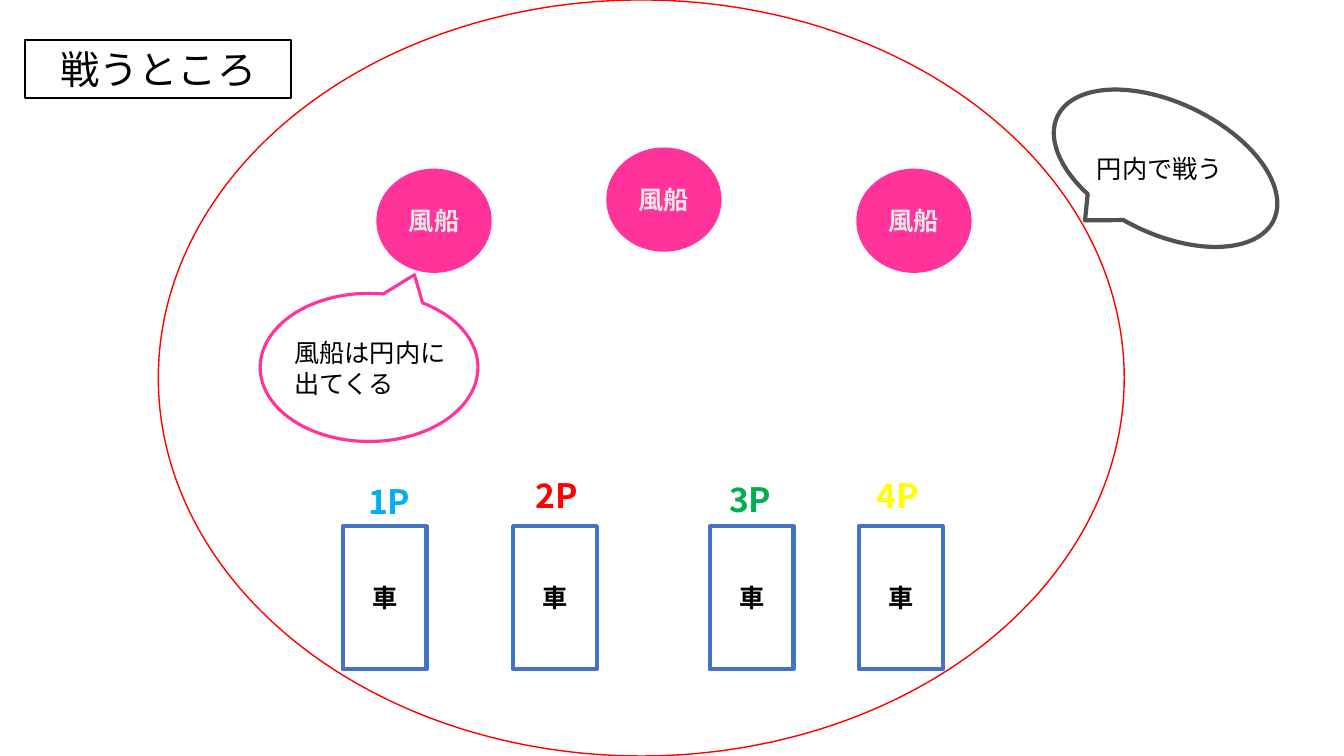
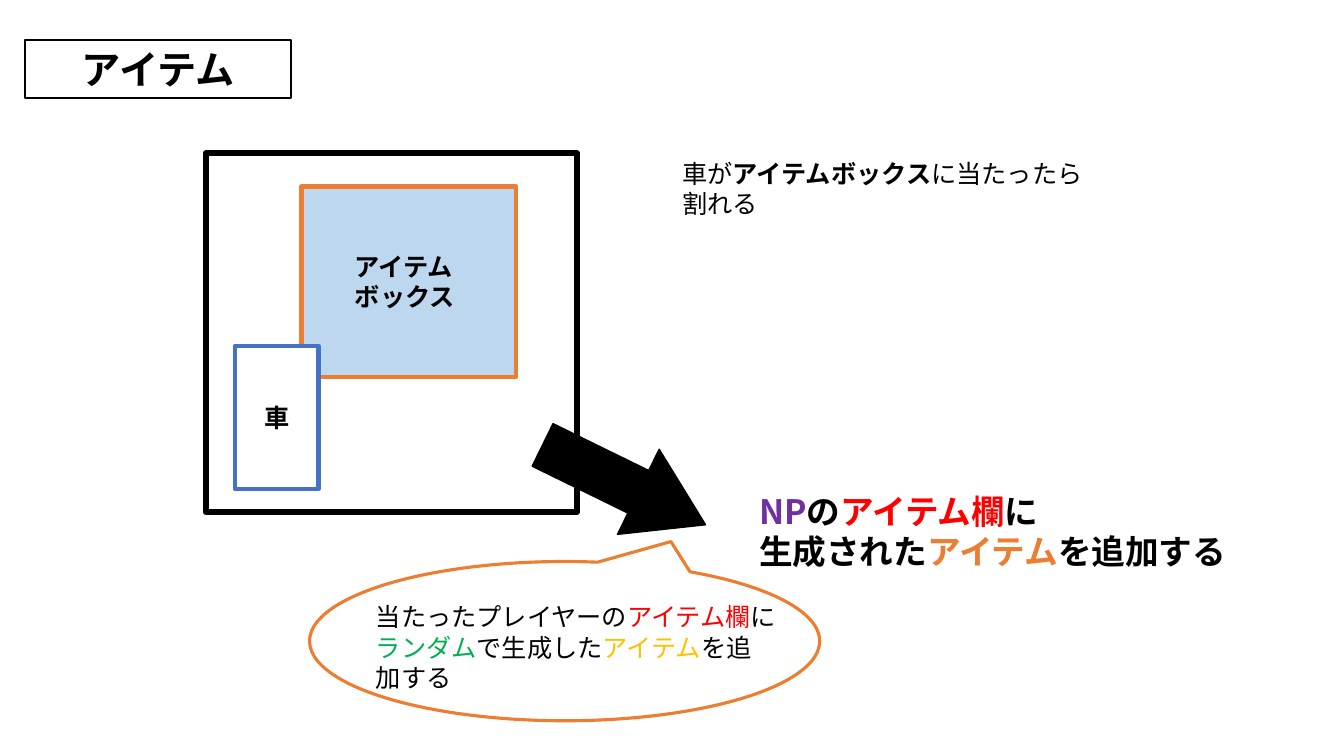
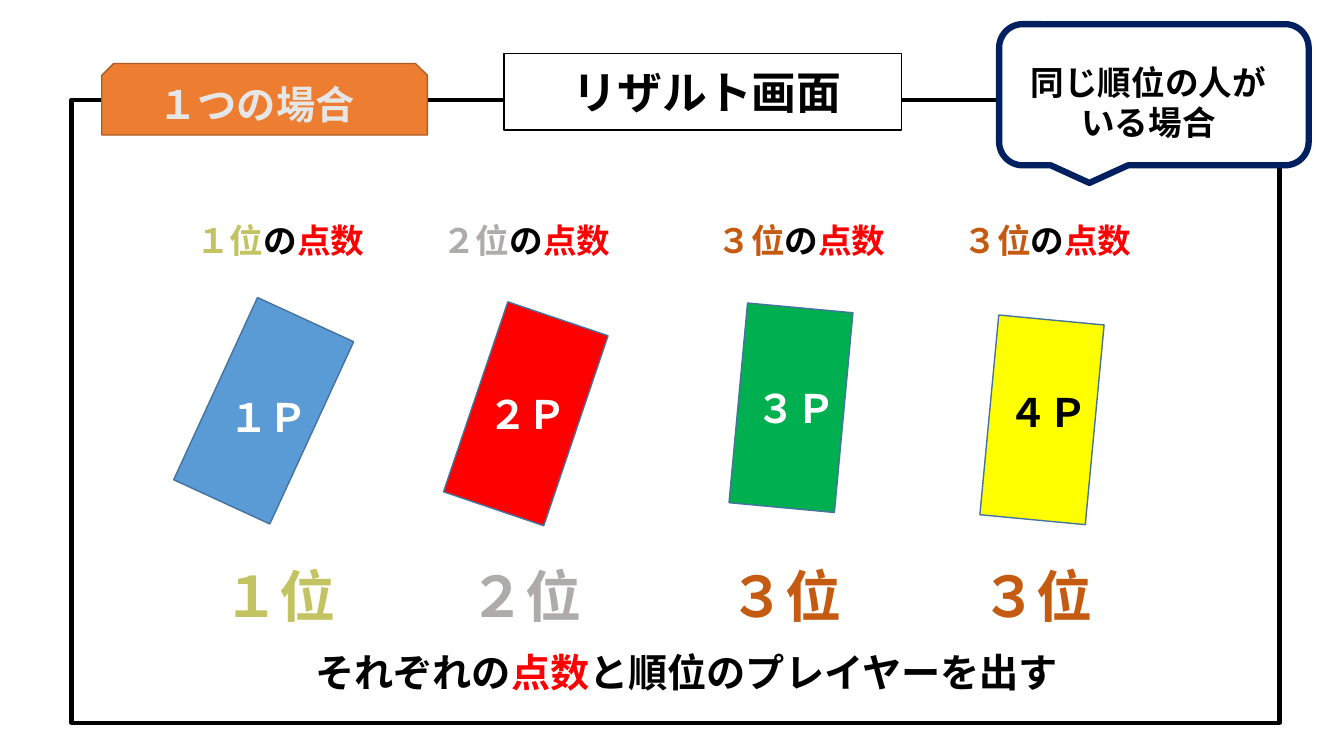
from lxml import etree
from pptx import Presentation
from pptx.dml.color import RGBColor
from pptx.enum.shapes import MSO_SHAPE
from pptx.enum.text import MSO_ANCHOR, MSO_AUTO_SIZE, PP_ALIGN
from pptx.oxml.ns import qn
from pptx.util import Inches, Pt

RECT = MSO_SHAPE.RECTANGLE
OVAL = MSO_SHAPE.OVAL
CLOUD = MSO_SHAPE.OVAL_CALLOUT
BUBBLE = MSO_SHAPE.ROUNDED_RECTANGULAR_CALLOUT
PROCESS = MSO_SHAPE.FLOWCHART_PROCESS
ARROW = MSO_SHAPE.RIGHT_ARROW
TAB = MSO_SHAPE.SNIP_2_SAME_RECTANGLE
LEFT, MID = PP_ALIGN.LEFT, PP_ALIGN.CENTER
CENTRE = MSO_ANCHOR.MIDDLE
GROW, FIXED = MSO_AUTO_SIZE.SHAPE_TO_FIT_TEXT, MSO_AUTO_SIZE.NONE

BLACK = RGBColor(0x00, 0x00, 0x00)
WHITE = RGBColor(0xFF, 0xFF, 0xFF)
RED = RGBColor(0xFF, 0x00, 0x00)
PINK = RGBColor(0xFF, 0x33, 0x99)
PALE = RGBColor(0xE7, 0xE6, 0xE6)
BLUE = RGBColor(0x44, 0x72, 0xC4)
SKY = RGBColor(0x00, 0xB0, 0xF0)
GREEN = RGBColor(0x00, 0xB0, 0x50)
YELLOW = RGBColor(0xFF, 0xFF, 0x00)
SLATE = RGBColor(0x52, 0x52, 0x52)
ICE = RGBColor(0xBD, 0xD7, 0xEE)
ORANGE = RGBColor(0xED, 0x7D, 0x31)
RUST = RGBColor(0xAF, 0x5C, 0x24)
PURPLE = RGBColor(0x70, 0x30, 0xA0)
AMBER = RGBColor(0xFF, 0xC0, 0x00)
GOLD = RGBColor(0xC3, 0xC3, 0x61)
SILVER = RGBColor(0xAF, 0xAB, 0xAB)
BRONZE = RGBColor(0xC5, 0x5A, 0x11)
GREY = RGBColor(0x80, 0x80, 0x80)
MIST = RGBColor(0xD6, 0xDC, 0xE5)
AZURE = RGBColor(0x5B, 0x9B, 0xD5)
STEEL = RGBColor(0x43, 0x73, 0x9E)
NAVY = RGBColor(0x00, 0x20, 0x60)

FONT = "Noto Sans CJK JP"
HEAD_BOX = (0.25, 0.4, 2.64, 0.57)
TIGHT = {"margin_left": 0, "margin_right": 0, "margin_top": 0, "margin_bottom": 0}


def assign(item, values):
    for key, value in values.items():
        setattr(item, key, value)


def place(shape, box):
    names = ("left", "top", "width", "height")
    assign(shape, dict(zip(names, map(Inches, box))))


def outline(run, color):
    props = run.font._element
    line = etree.Element(qn("a:ln"), w=str(Pt(0.75)))
    fill = etree.SubElement(line, qn("a:solidFill"))
    etree.SubElement(fill, qn("a:srgbClr"), val=str(color))
    props.insert(0, line)


def write(frame, lines, size=18, bold=True, align=MID):
    for num, parts in enumerate(lines):
        para = frame.add_paragraph() if num else frame.paragraphs[0]
        assign(para, {"alignment": align, "line_spacing": 1.0})
        for words, color, *extra in parts:
            style = extra[0] if extra else {}
            run = para.add_run()
            run.text = words
            assign(run.font, {"name": FONT, "size": Pt(size),
                              "bold": style.get("bold", bold)})
            run.font.color.rgb = color
            latin = run.font._element.find(qn("a:latin"))
            latin.addnext(etree.Element(qn("a:ea"), typeface=FONT))
            if "edge" in style:
                outline(run, style["edge"])


def paint(shape, fill, line, width):
    if fill is None:
        shape.fill.background()
    else:
        shape.fill.solid()
        shape.fill.fore_color.rgb = fill
    shape.line.color.rgb = line
    shape.line.width = Pt(width)


def draw(slide, kind, box, fill, line, width=1, turn=0):
    shape = slide.shapes.add_shape(kind, *map(Inches, box))
    shape.shadow.inherit = False
    shape.rotation = turn
    paint(shape, fill, line, width)
    return shape


def label(slide, box, lines, **style):
    frame = slide.shapes.add_textbox(*map(Inches, box)).text_frame
    assign(frame, {"word_wrap": True, "auto_size": GROW})
    write(frame, lines, **style)


def inner(shape, words, color, align=MID, **room):
    frame = shape.text_frame
    assign(frame, {**TIGHT, "word_wrap": True, "vertical_anchor": CENTRE, **room})
    write(frame, [[(words, color)]], align=align)


def head(slide, words, box=HEAD_BOX, width=1.5, inset=0.1, **style):
    title = slide.shapes.title
    place(title, box)
    paint(title, WHITE, BLACK, width)
    assign(title.text_frame, {"word_wrap": True, "auto_size": FIXED,
                              "vertical_anchor": CENTRE,
                              "margin_left": Inches(inset)})
    write(title.text_frame, [[(words, BLACK)]], **style)
    title.element.getparent().append(title.element)


def balloon(slide, left, top):
    shape = draw(slide, OVAL, (left, top, 1.13, 1.02), PINK, PINK)
    inner(shape, "風船", PALE)


def car(slide, left, top):
    shape = draw(slide, RECT, (left, top, 0.83, 1.42), WHITE, BLUE, 3)
    inner(shape, "車", BLACK)


def arena(slide):
    draw(slide, OVAL, (1.57, 0, 9.58, 7.5), None, RED)
    for left, top in ((3.74, 1.68), (6.02, 1.47), (8.5, 1.68)):
        balloon(slide, left, top)
    players = ((3.4, 3.42, 4.72, SKY), (5.09, 5.08, 4.66, RED),
               (7.04, 7, 4.7, GREEN), (8.52, 8.46, 4.66, YELLOW))
    for num, (left, tag, top, color) in enumerate(players, 1):
        car(slide, left, 5.22)
        label(slide, (tag, top, 0.88, 0.5),
              [[(f"{num}P", color, {"edge": BLACK})]], size=24)
    head(slide, "戦うところ", size=28, bold=False)
    draw(slide, CLOUD, (10.37, 1.02, 2.38, 1.3), None, SLATE, 3, 25.7)
    label(slide, (10.78, 1.47, 1.51, 0.4), [[("円内で戦う", BLACK)]],
          bold=False, align=LEFT)
    draw(slide, CLOUD, (2.58, 2.91, 2.16, 1.47), None, PINK, 2.25, 180)
    label(slide, (2.82, 3.3, 1.84, 0.71), [[("風船は円内に出てくる", BLACK)]],
          bold=False, align=LEFT)


def items(slide):
    head(slide, "アイテム", size=28)
    box = draw(slide, RECT, (2.99, 1.85, 2.13, 1.89), ICE, ORANGE, 3)
    inner(box, "アイテムボックス", BLACK, LEFT,
          margin_left=Inches(0.53), margin_right=Inches(0.53))
    draw(slide, PROCESS, (2.04, 1.52, 3.68, 3.56), None, BLACK, 4.5)
    car(slide, 2.33, 3.43)
    label(slide, (6.67, 1.52, 4.25, 0.71),
          [[("車が", BLACK), ("アイテムボックス", BLACK, {"bold": True}),
            ("に当たったら割れる", BLACK)]], bold=False, align=LEFT)
    arrow = draw(slide, ARROW, (5.29, 4.34, 1.8, 0.94), BLACK, BLACK, 1, 26.1)
    arrow.adjustments[1] = 0.79
    edge = {"edge": BLACK}
    label(slide, (7.43, 4.82, 4.99, 0.91),
          [[("NP", PURPLE, edge), ("の", BLACK, edge),
            ("アイテム欄", RED, edge), ("に", BLACK, edge)],
           [("生成された", BLACK, edge), ("アイテム", ORANGE, edge),
            ("を追加する", BLACK, edge)]], size=24, align=LEFT)
    draw(slide, CLOUD, (3.07, 5.57, 5.06, 1.58), None, ORANGE, 2.25, 180)
    label(slide, (3.63, 5.92, 4.17, 1.01),
          [[("当たったプレイヤーの", BLACK), ("アイテム欄", RED), ("に", BLACK),
            ("ランダム", GREEN), ("で生成した", BLACK), ("アイテム", AMBER),
            ("を追加する", BLACK)]], bold=False, align=LEFT)


def results(slide):
    draw(slide, RECT, (0.71, 0.99, 11.98, 6.18), None, BLACK, 3)
    draw(slide, TAB, (1.01, 0.63, 3.23, 0.71), ORANGE, RUST)
    label(slide, (1.11, 0.75, 2.87, 0.57), [[("１つの場合", PALE)]], size=28)
    head(slide, "リザルト画面", (5, 0.53, 3.94, 0.76), 1, 0.68,
         size=32, align=LEFT)
    first = ("１位", GOLD, {"edge": WHITE})
    second = ("２位", SILVER, {"edge": GREY})
    third = ("３位", BRONZE, {"edge": MIST})
    players = (
        ("１Ｐ", first, 1.79, 1.8, (2.09, 3.08), 24.7, AZURE, (2.14, 3.85), WHITE),
        ("２Ｐ", second, 4.23, 4.24, (4.69, 3.11), 18.7, RED, (4.71, 3.82), WHITE),
        ("３Ｐ", third, 6.81, 6.97, (7.32, 3.05), 5.3, GREEN, (7.37, 3.76), WHITE),
        ("４Ｐ", third, 9.3, 9.41, (9.81, 3.17), 5.4, YELLOW, (9.87, 3.8), BLACK),
    )
    for name, rank, left, score, card, turn, fill, tag, ink in players:
        label(slide, (left, 5.52, 1.97, 0.77), [[rank]], size=40)
        label(slide, (score, 2.13, 1.96, 0.5),
              [[rank, ("の", BLACK), ("点数", RED)]], size=24)
        draw(slide, RECT, (*card, 1.05, 1.99), fill, STEEL, 1, turn)
        label(slide, (*tag, 1.05, 0.57), [[(name, ink)]], size=28)
    label(slide, (2.95, 6.38, 7.72, 0.57),
          [[("それぞれの", BLACK), ("点数", RED),
            ("と順位のプレイヤーを出す", BLACK)]], size=28)
    draw(slide, BUBBLE, (9.91, 0.24, 3.07, 1.4), WHITE, NAVY, 4.5)
    label(slide, (10.09, 0.56, 2.6, 0.91),
          [[("同じ順位の人がいる場合", BLACK, {"edge": MIST})]], size=24)


def main():
    deck = Presentation()
    assign(deck, {"slide_width": Inches(13.33), "slide_height": Inches(7.5)})
    for build in (arena, items, results):
        build(deck.slides.add_slide(deck.slide_layouts[5]))
    deck.save("out.pptx")


if __name__ == "__main__":
    main()
